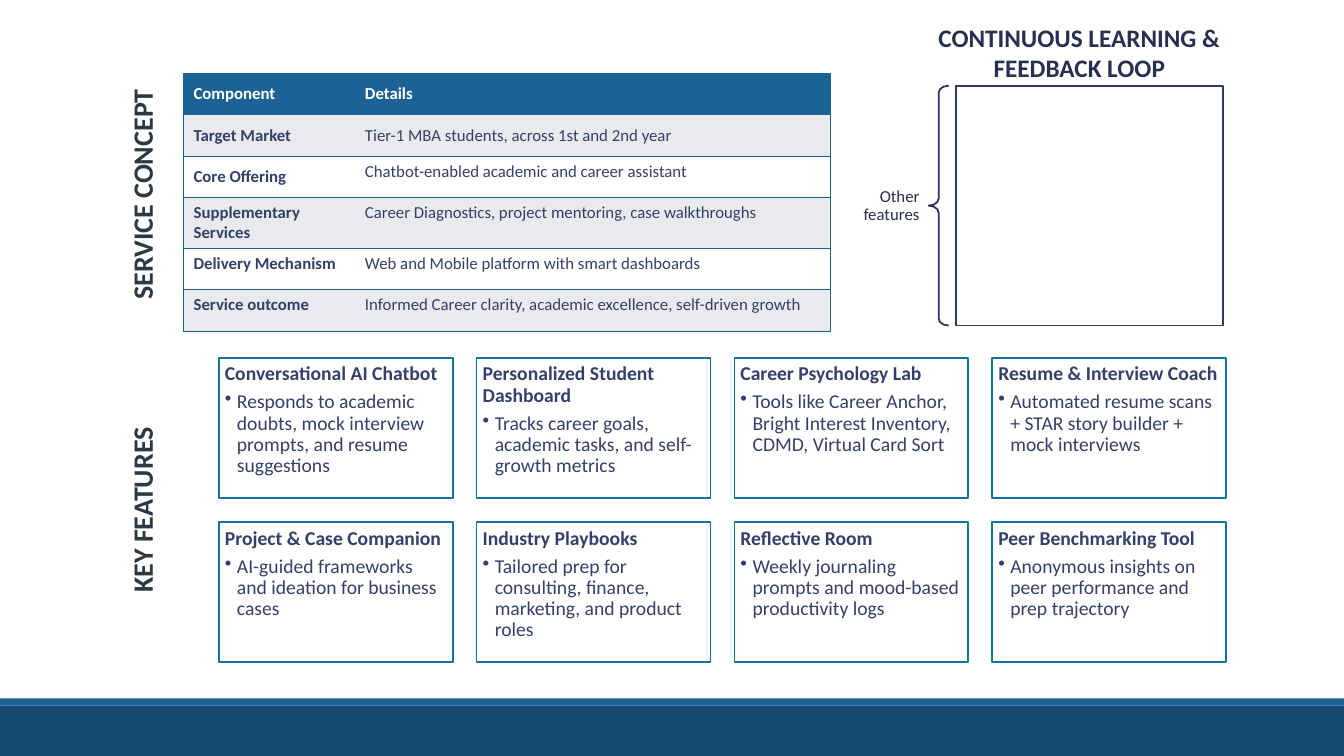
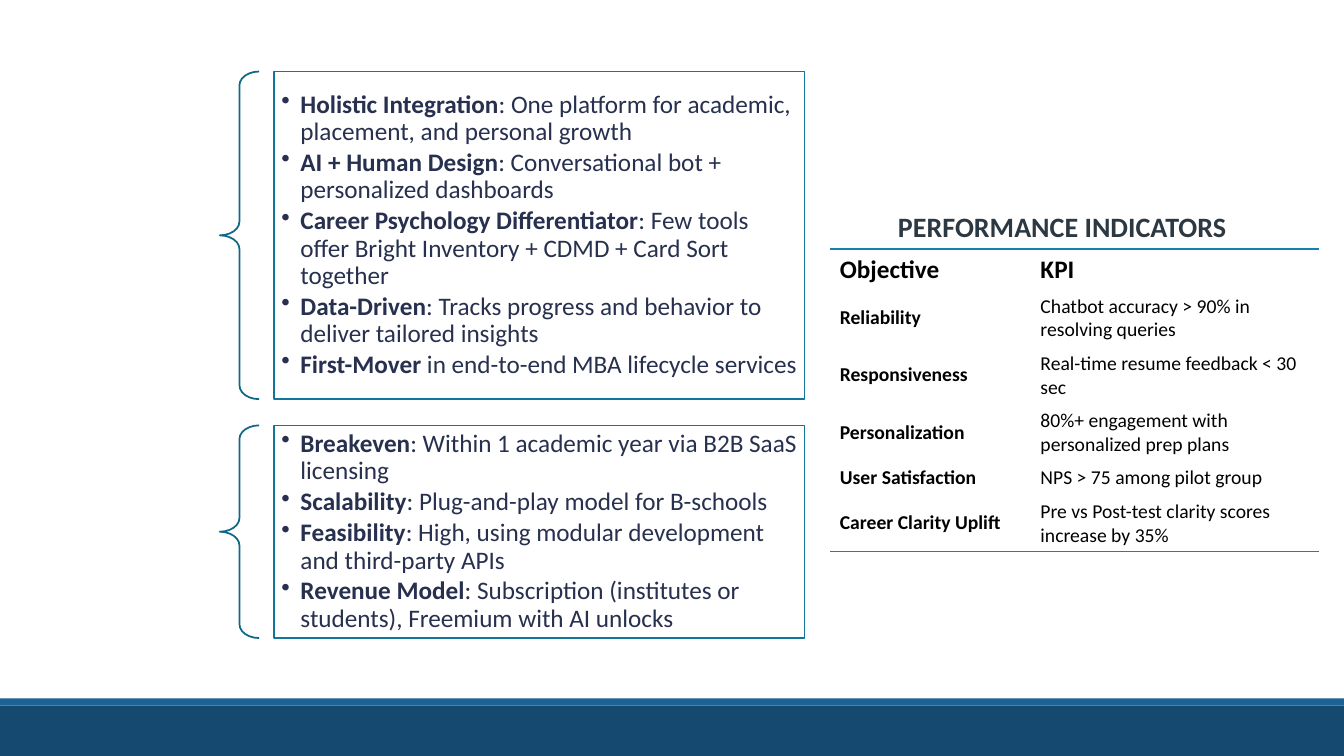
from lxml import etree
from pptx import Presentation
from pptx.dml.color import RGBColor
from pptx.enum.shapes import MSO_SHAPE
from pptx.enum.text import MSO_ANCHOR, PP_ALIGN
from pptx.oxml.ns import qn
from pptx.util import Inches, Pt

RECTANGLE, LEFT_BRACE = MSO_SHAPE.RECTANGLE, MSO_SHAPE.LEFT_BRACE
TOP, MIDDLE = MSO_ANCHOR.TOP, MSO_ANCHOR.MIDDLE
LEFT, CENTER, RIGHT = PP_ALIGN.LEFT, PP_ALIGN.CENTER, PP_ALIGN.RIGHT

FONT = "Calibri"
NAVY = RGBColor(0x15, 0x49, 0x6F)
BLUE = RGBColor(0x1C, 0x62, 0x94)
TEAL = RGBColor(0x12, 0x76, 0x9B)
DARK_TEAL = RGBColor(0x10, 0x68, 0x89)
LIGHT_TEAL = RGBColor(0x14, 0x82, 0xAB)
SLATE = RGBColor(0x34, 0x40, 0x68)
INK = RGBColor(0x27, 0x30, 0x4E)
BRACE_INK = RGBColor(0x2A, 0x33, 0x53)
FRAME_INK = RGBColor(0x2F, 0x3A, 0x5E)
HEADING = RGBColor(0x2C, 0x39, 0x43)
GRAY = RGBColor(0xE8, 0xEA, 0xEE)
WHITE = RGBColor(0xFF, 0xFF, 0xFF)
BLACK = RGBColor(0x00, 0x00, 0x00)

SERVICE_CONCEPT = [
    ("Component", "Details"),
    ("Target Market", "Tier-1 MBA students, across 1st and 2nd year"),
    ("Core Offering", "Chatbot-enabled academic and career assistant"),
    ("Supplementary Services", "Career Diagnostics, project mentoring, case walkthroughs"),
    ("Delivery Mechanism", "Web and Mobile platform with smart dashboards"),
    ("Service outcome", "Informed Career clarity, academic excellence, self-driven growth"),
]
CENTERED_ROWS = (3, 2)

KEY_FEATURES = [
    ("Conversational AI Chatbot",
     "Responds to academic doubts, mock interview prompts, and resume suggestions"),
    ("Personalized Student Dashboard",
     "Tracks career goals, academic tasks, and self-growth metrics"),
    ("Career Psychology Lab",
     "Tools like Career Anchor, Bright Interest Inventory, CDMD, Virtual Card Sort"),
    ("Resume & Interview Coach",
     "Automated resume scans + STAR story builder + mock interviews"),
    ("Project & Case Companion",
     "AI-guided frameworks and ideation for business cases"),
    ("Industry Playbooks",
     "Tailored prep for consulting, finance, marketing, and product roles"),
    ("Reflective Room",
     "Weekly journaling prompts and mood-based productivity logs"),
    ("Peer Benchmarking Tool",
     "Anonymous insights on peer performance and prep trajectory"),
]
SIDE_HEADINGS = [("KEY FEATURES", 4.84), ("SERVICE CONCEPT", 1.71)]
LOOP_HEADING = ["CONTINUOUS LEARNING &", "FEEDBACK LOOP"]

DIFFERENTIATORS = [
    ("Holistic Integration", ": One platform for academic, placement, and personal growth"),
    ("AI + Human Design", ": Conversational bot + personalized dashboards"),
    ("Career Psychology Differentiator",
     ": Few tools offer Bright Inventory + CDMD + Card Sort together"),
    ("Data-Driven", ": Tracks progress and behavior to deliver tailored insights"),
    ("First-Mover", " in end-to-end MBA lifecycle services"),
]
BUSINESS_CASE = [
    ("Breakeven", ": Within 1 academic year via B2B SaaS licensing"),
    ("Scalability", ": Plug-and-play model for B-schools"),
    ("Feasibility", ": High, using modular development and third-party APIs"),
    ("Revenue Model", ": Subscription (institutes or students), Freemium with AI unlocks"),
]
BRACED_LISTS = [(DIFFERENTIATORS, 0.71, 3.25), (BUSINESS_CASE, 4.22, 2.11)]

INDICATORS = [
    ("Objective", "KPI"),
    ("Reliability", "Chatbot accuracy > 90% in resolving queries"),
    ("Responsiveness", "Real-time resume feedback < 30 sec"),
    ("Personalization", "80%+ engagement with personalized prep plans"),
    ("User Satisfaction", "NPS > 75 among pilot group"),
    ("Career Clarity Uplift", "Pre vs Post-test clarity scores increase by 35%"),
]

CARD_COLUMNS = 4
CARD_LEFT, CARD_TOP, CARD_WIDTH, CARD_HEIGHT = 2.17, 3.55, 2.32, 1.39
CARD_PITCH_X, CARD_PITCH_Y = 2.557, 1.63


def box(left, top, width, height):
    return [Inches(value) for value in (left, top, width, height)]


def add_outline(slide, preset, place, fill=None, line=None):
    shape = slide.shapes.add_shape(preset, *box(*place))
    shape.shadow.inherit = False
    if fill is None:
        shape.fill.background()
    else:
        shape.fill.solid()
        shape.fill.fore_color.rgb = fill
    if line is None:
        shape.line.fill.background()
    else:
        shape.line.color.rgb = line
        shape.line.width = Pt(1.25)
    return shape


def add_brace(slide, place, color):
    brace = add_outline(slide, LEFT_BRACE, place, line=color)
    brace.adjustments[0] = 0.35
    brace.adjustments[1] = 0.5


def write_runs(paragraph, runs, size, color, align=LEFT):
    paragraph.alignment = align
    for text, bold in runs:
        run = paragraph.add_run()
        run.text = text
        run.font.name = FONT
        run.font.size = Pt(size)
        run.font.bold = bold
        run.font.color.rgb = color


def next_paragraph(frame, index):
    return frame.add_paragraph() if index else frame.paragraphs[0]


def set_bullet(paragraph, indent):
    properties = paragraph._p.get_or_add_pPr()
    properties.set("marL", str(Inches(indent)))
    properties.set("indent", str(-Inches(indent)))
    etree.SubElement(properties, qn("a:buChar")).set("char", "•")


def set_spacing(paragraph, after):
    paragraph.line_spacing = 0.9
    paragraph.space_after = Pt(after)


def set_frame(frame, anchor, side, edge):
    frame.word_wrap = True
    frame.vertical_anchor = anchor
    frame.margin_left = frame.margin_right = Inches(side)
    frame.margin_top = frame.margin_bottom = Inches(edge)


def add_label(slide, place, lines, size, color, bold=True, align=CENTER):
    label = slide.shapes.add_textbox(*box(*place))
    set_frame(label.text_frame, TOP, 0.1, 0.05)
    for index, line in enumerate(lines):
        paragraph = next_paragraph(label.text_frame, index)
        write_runs(paragraph, [(line, bold)], size, color, align)
    return label


def set_borders(cell, colors):
    properties = cell._tc.get_or_add_tcPr()
    for side in "LRTB":
        border = etree.SubElement(properties, qn("a:ln" + side))
        border.set("w", str(Pt(1)))
        if side in colors:
            fill = etree.SubElement(border, qn("a:solidFill"))
            etree.SubElement(fill, qn("a:srgbClr")).set("val", str(colors[side]))
        else:
            etree.SubElement(border, qn("a:noFill"))


def add_grid(slide, rows, place, widths, row_height, style_cell):
    table = slide.shapes.add_table(len(rows), len(widths), *box(*place)).table
    table.first_row = table.horz_banding = False
    for column, width in zip(table.columns, widths):
        column.width = Inches(width)
    for r, texts in enumerate(rows):
        table.rows[r].height = Inches(row_height)
        for c, text in enumerate(texts):
            cell = table.cell(r, c)
            size, color, fill, borders, anchor = style_cell(r, c)
            set_borders(cell, borders)
            if fill is None:
                cell.fill.background()
            else:
                cell.fill.solid()
                cell.fill.fore_color.rgb = fill
            cell.vertical_anchor = anchor
            bold = r == 0 or c == 0
            write_runs(cell.text_frame.paragraphs[0], [(text, bold)], size, color)


def concept_style(r, c):
    borders = {"T": BLUE, "B": BLUE, "R" if c else "L": BLUE}
    if r == 0:
        return 12, WHITE, BLUE, borders, MIDDLE
    anchor = MIDDLE if r < CENTERED_ROWS[c] else TOP
    return 12, SLATE, GRAY if r % 2 else WHITE, borders, anchor


def indicator_style(r, c):
    borders = {}
    if r == 0:
        borders["T"] = LIGHT_TEAL
    if r == len(INDICATORS) - 1:
        borders["B"] = LIGHT_TEAL
    return 14 if r else 18, BLACK, None, borders, MIDDLE


def add_card(slide, index, title, detail):
    row, column = divmod(index, CARD_COLUMNS)
    place = (CARD_LEFT + column * CARD_PITCH_X, CARD_TOP + row * CARD_PITCH_Y,
             CARD_WIDTH, CARD_HEIGHT)
    frame = add_outline(slide, RECTANGLE, place, WHITE, TEAL).text_frame
    set_frame(frame, TOP, 0.06, 0.06)
    heading = frame.paragraphs[0]
    set_spacing(heading, 4.9)
    write_runs(heading, [(title, True)], 14, SLATE)
    bullet = frame.add_paragraph()
    set_bullet(bullet, 0.12)
    set_spacing(bullet, 2.1)
    write_runs(bullet, [(detail, False)], 14, SLATE)


def add_braced_list(slide, points, top, height):
    add_brace(slide, (2.18, top, 0.39, height), DARK_TEAL)
    panel = add_outline(slide, RECTANGLE, (2.72, top, 5.26, height), WHITE, TEAL)
    set_frame(panel.text_frame, MIDDLE, 0.07, 0.07)
    for index, (term, rest) in enumerate(points):
        paragraph = next_paragraph(panel.text_frame, index)
        set_bullet(paragraph, 0.19)
        set_spacing(paragraph, 2.7)
        write_runs(paragraph, [(term, True), (rest, False)], 18, INK)


def add_slide(deck):
    slide = deck.slides.add_slide(deck.slide_layouts[6])
    add_outline(slide, RECTANGLE, (0, 7, 13.33, 0.5), NAVY)
    add_outline(slide, RECTANGLE, (0, 6.93, 13.33, 0.07), BLUE)
    return slide


def build_service_slide(deck):
    slide = add_slide(deck)
    add_grid(slide, SERVICE_CONCEPT, (1.82, 0.73, 6.42, 2.46), (1.7, 4.72), 0.41,
             concept_style)
    for index, (title, detail) in enumerate(KEY_FEATURES):
        add_card(slide, index, title, detail)
    for heading, top in SIDE_HEADINGS:
        label = add_label(slide, (-0.1, top, 3.02, 0.44), [heading], 20, HEADING)
        label.rotation = 270
    add_label(slide, (8.42, 0.17, 4.57, 0.71), LOOP_HEADING, 18, INK)
    features = add_label(slide, (8.23, 1.34, 0.98, 1.41), ["Other features"], 12, INK,
                         bold=False, align=RIGHT)
    set_frame(features.text_frame, MIDDLE, 0.09, 0.03)
    set_spacing(features.text_frame.paragraphs[0], 4.2)
    add_brace(slide, (9.21, 0.85, 0.2, 2.38), BRACE_INK)
    add_outline(slide, RECTANGLE, (9.48, 0.85, 2.65, 2.38), WHITE, FRAME_INK)


def build_performance_slide(deck):
    slide = add_slide(deck)
    for points, top, height in BRACED_LISTS:
        add_braced_list(slide, points, top, height)
    add_grid(slide, INDICATORS, (8.23, 2.47, 4.85, 1.8), (1.99, 2.86), 0.3,
             indicator_style)
    add_label(slide, (7.74, 2.03, 5.59, 0.44), ["PERFORMANCE INDICATORS"], 20, HEADING)


def main():
    deck = Presentation()
    deck.slide_width, deck.slide_height = Inches(13.33), Inches(7.5)
    build_service_slide(deck)
    build_performance_slide(deck)
    deck.save("out.pptx")


if __name__ == "__main__":
    main()
